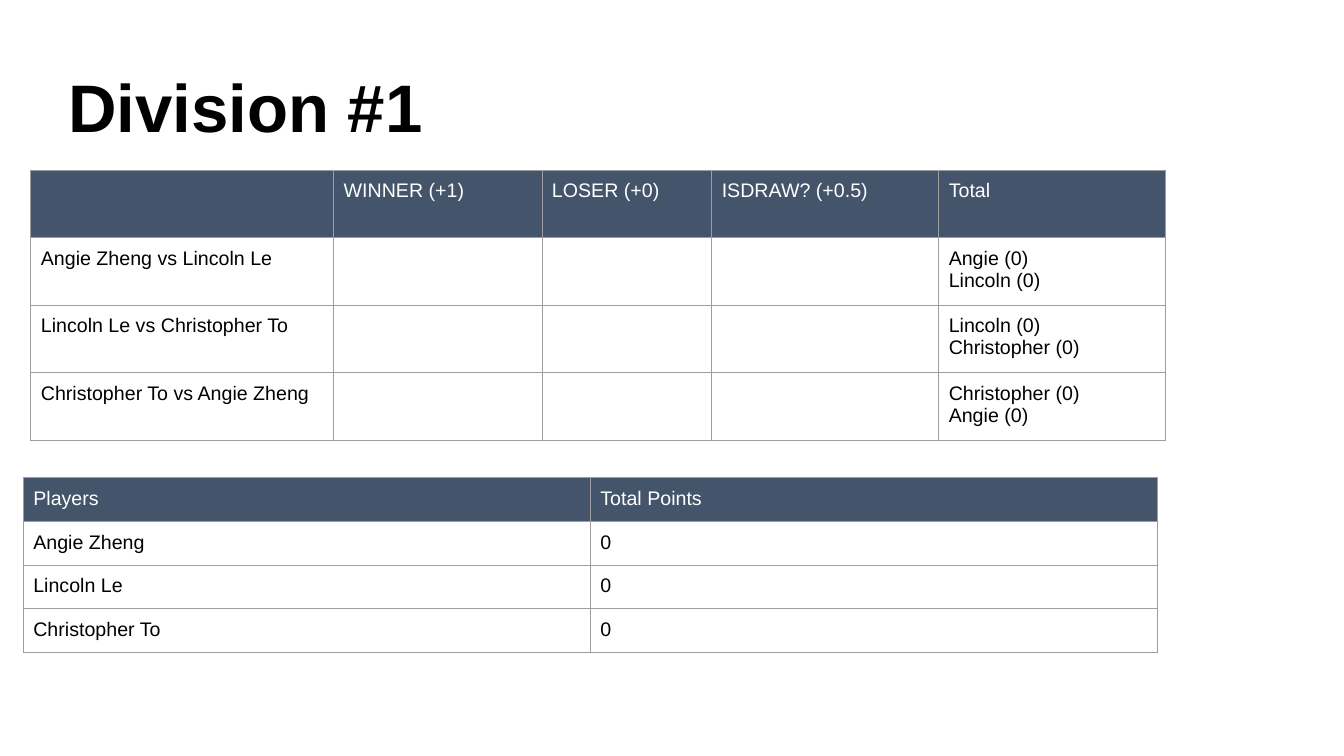
from lxml import etree
from pptx import Presentation
from pptx.dml.color import RGBColor
from pptx.enum import text
from pptx.oxml import ns
from pptx.util import Cm, Pt

TITLE = "Division #1"
MATCHES = {
    "left": 0.78, "top": 4.29, "row_height": 1.7,
    "widths": [7.63, 5.25, 4.28, 5.72, 5.72],
    "rows": [
        ["", "WINNER (+1)", "LOSER (+0)", "ISDRAW? (+0.5)", "Total"],
        ["Angie Zheng vs Lincoln Le", "", "", "", "Angie (0)\nLincoln (0)"],
        ["Lincoln Le vs Christopher To", "", "", "", "Lincoln (0)\nChristopher (0)"],
        ["Christopher To vs Angie Zheng", "", "", "", "Christopher (0)\nAngie (0)"],
    ],
}
STANDINGS = {
    "left": 0.59, "top": 12.04, "row_height": 1.1,
    "widths": [14.29, 14.29],
    "rows": [
        ["Players", "Total Points"],
        ["Angie Zheng", "0"],
        ["Lincoln Le", "0"],
        ["Christopher To", "0"],
    ],
}
HEADER_FILL, HEADER_TEXT, BODY_TEXT, BORDER = "44546A", "FFFFFF", "000000", "9E9E9E"
MARGINS = {f"margin_{side}": Cm(0.25) for side in ("left", "right", "top", "bottom")}
TITLE_FONT = {"name": "Arial", "size": Pt(48), "bold": True}
CELL_FONT = {"name": "Arial", "size": Pt(14), "bold": False}


def color(value):
    return RGBColor.from_string(value)


def apply(target, values):
    for name, value in values.items():
        setattr(target, name, value)


def style_text(frame, font, ink):
    for para in frame.paragraphs:
        para.alignment = text.PP_ALIGN.LEFT
        apply(para.font, font)
        para.font.color.rgb = color(ink)


def add_borders(cell):
    properties = cell._tc.get_or_add_tcPr()
    for index, side in enumerate(("lnL", "lnR", "lnT", "lnB")):
        line = etree.Element(ns.qn(f"a:{side}"), w=str(Pt(0.75)))
        fill = etree.SubElement(line, ns.qn("a:solidFill"))
        etree.SubElement(fill, ns.qn("a:srgbClr"), val=BORDER)
        properties.insert(index, line)


def add_grid(page, content):
    rows, widths, height = content["rows"], content["widths"], content["row_height"]
    table = page.shapes.add_table(
        len(rows), len(widths), Cm(content["left"]), Cm(content["top"]),
        Cm(sum(widths)), Cm(height * len(rows))).table
    apply(table, {"first_row": False, "horz_banding": False})
    for column, width in zip(table.columns, widths):
        column.width = Cm(width)
    for row_index, row in enumerate(rows):
        table.rows[row_index].height = Cm(height)
        for column_index, words in enumerate(row):
            cell = table.cell(row_index, column_index)
            cell.text = words
            apply(cell, MARGINS)
            if row_index == 0:
                cell.fill.solid()
                cell.fill.fore_color.rgb = color(HEADER_FILL)
            else:
                cell.fill.background()
            style_text(cell.text_frame, CELL_FONT, BODY_TEXT if row_index else HEADER_TEXT)
            add_borders(cell)


def main():
    deck = Presentation()
    apply(deck, {"slide_width": Cm(33.87), "slide_height": Cm(19.05)})
    page = deck.slides.add_slide(deck.slide_layouts[5])
    title = page.shapes.title
    apply(title, {"left": Cm(1.47), "top": Cm(1.37), "width": Cm(27.91), "height": Cm(2.57)})
    title.text_frame.text = TITLE
    apply(title.text_frame, MARGINS | {
        "word_wrap": True,
        "auto_size": text.MSO_AUTO_SIZE.NONE,
        "vertical_anchor": text.MSO_ANCHOR.BOTTOM,
    })
    style_text(title.text_frame, TITLE_FONT, BODY_TEXT)
    for content in (MATCHES, STANDINGS):
        add_grid(page, content)
    deck.save("out.pptx")


if __name__ == "__main__":
    main()
